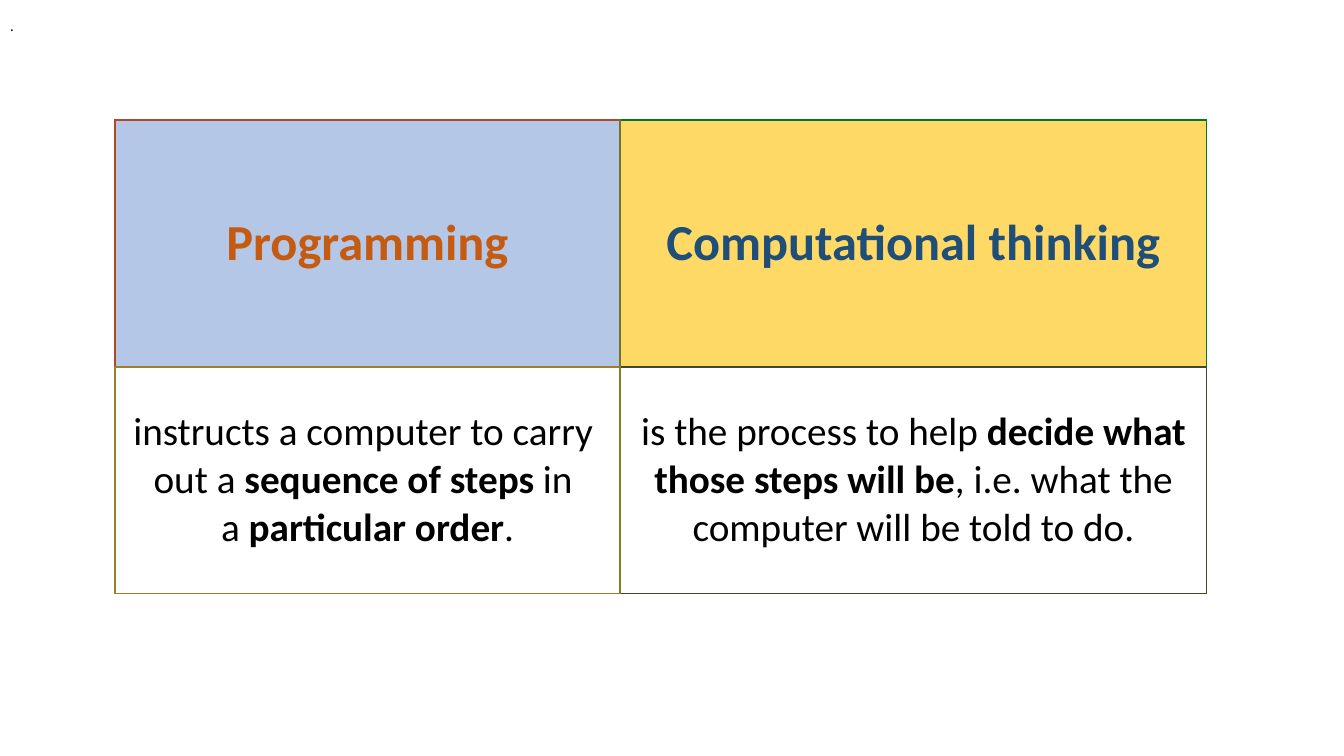
from lxml import etree
from pptx import Presentation
from pptx.dml.color import RGBColor
from pptx.enum.text import MSO_ANCHOR, MSO_AUTO_SIZE, PP_ALIGN
from pptx.oxml.ns import qn
from pptx.util import Emu, Pt

CENTER = PP_ALIGN.CENTER
LEFT = PP_ALIGN.LEFT
MIDDLE = MSO_ANCHOR.MIDDLE
GROW = MSO_AUTO_SIZE.SHAPE_TO_FIT_TEXT
PX = 9144
BLANK = 6

COLORS = {
    "white": "FFFFFF", "black": "000000", "ink": "111111",
    "blue": "B4C7E7", "yellow": "FFD966", "orange": "C55A11", "navy": "1F4E79",
    "rust": "B0492A", "olive": "70752A", "ochre": "A07D2A",
    "green": "007A2A", "moss": "40482A", "khaki": "807F2A",
}
HEADING = {"size": Pt(36), "name": "Calibri", "bold": True}
BODY = {"size": Pt(28), "name": "Calibri"}
MARK = {"size": Pt(12), "name": "Roboto"}
SIDES = ("a:lnL", "a:lnR", "a:lnT", "a:lnB")


class ComparisonSlide:
    """Draws tables and text on one slide in a shared style."""

    def __init__(self, prs):
        self.slide = prs.slides.add_slide(prs.slide_layouts[BLANK])

    def fill_text(self, frame, paragraphs, font, color, align):
        for index, runs in enumerate(paragraphs):
            paragraph = frame.add_paragraph() if index else frame.paragraphs[0]
            paragraph.alignment = align
            for words, emphasis in runs:
                run = paragraph.add_run()
                run.text = words
                for key, value in {"bold": emphasis, **font}.items():
                    setattr(run.font, key, value)
                run.font.color.rgb = RGBColor.from_string(COLORS[color])

    def borders(self, cell, colors):
        properties = cell._tc.get_or_add_tcPr()
        for position, (side, color) in enumerate(zip(SIDES, colors)):
            line = etree.Element(qn(side), w=str(Pt(1)))
            fill = etree.SubElement(line, qn("a:solidFill"))
            etree.SubElement(fill, qn("a:srgbClr"), val=COLORS[color])
            properties.insert(position, line)

    def table(self, left, top, widths, heights, rows):
        box = [Emu(n * PX) for n in (left, top, sum(widths), sum(heights))]
        grid = self.slide.shapes.add_table(len(heights), len(widths), *box).table
        grid.first_row = grid.horz_banding = False
        for column, width in zip(grid.columns, widths):
            column.width = Emu(width * PX)
        for row, height, contents in zip(grid.rows, heights, rows):
            row.height = Emu(height * PX)
            for cell, (paragraphs, font, color, fill, edges) in zip(row.cells, contents):
                cell.vertical_anchor = MIDDLE
                cell.fill.solid()
                cell.fill.fore_color.rgb = RGBColor.from_string(COLORS[fill])
                self.borders(cell, edges)
                self.fill_text(cell.text_frame, paragraphs, font, color, CENTER)

    def text(self, left, top, width, height, paragraphs, font, color):
        box = [Emu(n * PX) for n in (left, top, width, height)]
        frame = self.slide.shapes.add_textbox(*box).text_frame
        layout = {"word_wrap": False, "auto_size": GROW, "vertical_anchor": MIDDLE}
        for key, value in layout.items():
            setattr(frame, key, value)
        self.fill_text(frame, paragraphs, font, color, LEFT)


def main():
    prs = Presentation()
    prs.slide_width, prs.slide_height = Emu(1333 * PX), Emu(750 * PX)
    programming = [
        [("instructs a computer to carry ", False)],
        [("out a ", False), ("sequence of steps ", True), ("in ", False)],
        [("a ", False), ("particular order", True), (".", False)],
    ]
    thinking = [[
        ("is the process to help ", False),
        ("decide what those steps will be", True),
        (", i.e. what the computer will be told to do.", False),
    ]]
    headings = [
        ([[("Programming", True)]], HEADING, "orange", "blue",
         ("rust", "olive", "rust", "ochre")),
        ([[("Computational thinking", True)]], HEADING, "navy", "yellow",
         ("olive", "green", "green", "moss")),
    ]
    definitions = [
        (programming, BODY, "black", "white", ("ochre", "khaki", "ochre", "ochre")),
        (thinking, BODY, "black", "white", ("khaki", "moss", "moss", "moss")),
    ]
    comparison = ComparisonSlide(prs)
    comparison.table(114, 119, (501, 582), (245, 225), (headings, definitions))
    comparison.text(0, 10, 24, 30, [[(".", False)]], MARK, "ink")
    prs.save("out.pptx")


if __name__ == "__main__":
    main()
